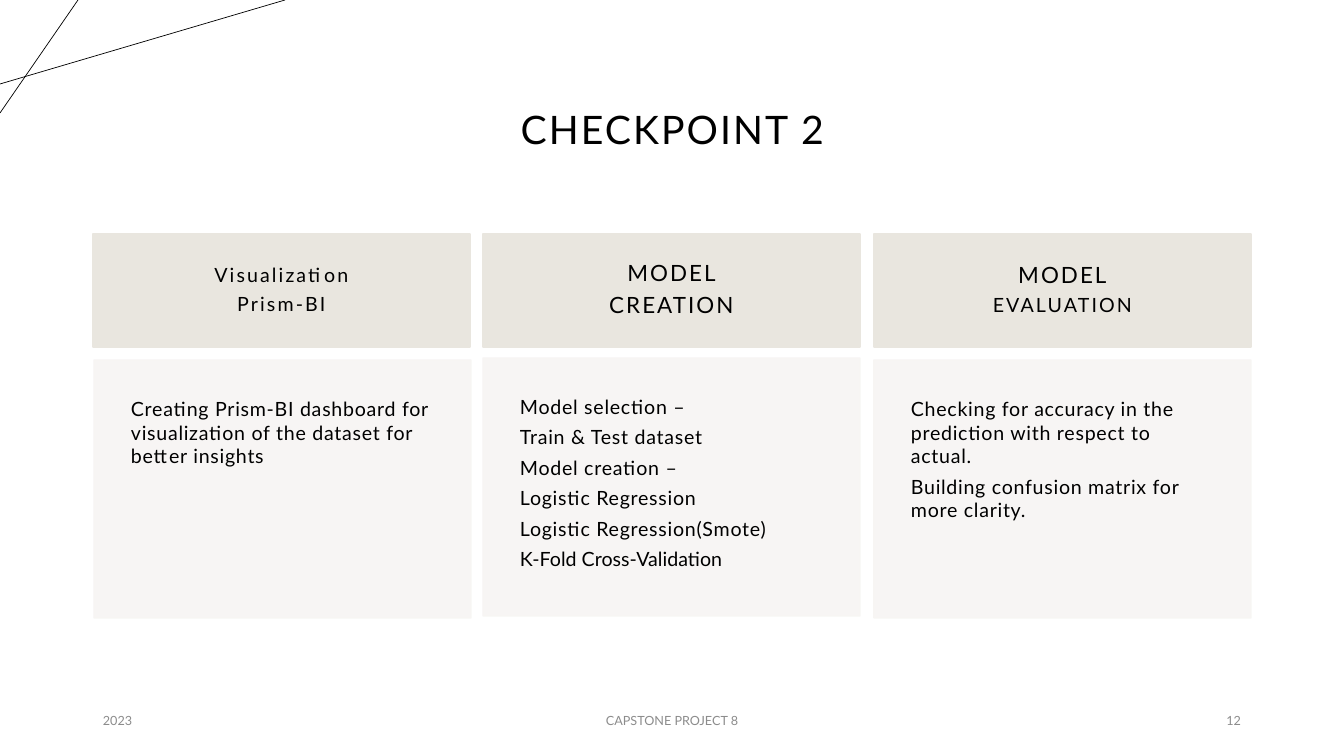
from dataclasses import dataclass

from lxml import etree
from pptx import Presentation
from pptx import util as u
from pptx.dml.color import RGBColor
from pptx.enum import shapes, text
from pptx.oxml.ns import qn

EMU_PER_PX = 914400 / 100.8
ALIGN, ANCHOR = text.PP_ALIGN, text.MSO_ANCHOR


@dataclass(frozen=True)
class Theme:
    font: str = "Lato"
    ink: str = "000000"
    muted: str = "8C8C8C"
    heading_fill: str = "E9E6DF"
    detail_fill: str = "F7F5F3"
    detail_opacity: int = 90
    title_size: int = 28
    large_size: int = 16
    text_size: int = 14
    footer_size: int = 9


THEME = Theme()

# Column geometry
LEFT, COLUMN_WIDTH = 93, 377
HEADING_TOP, HEADING_HEIGHT = 234, 113
DETAIL_HEIGHT = 258

# Each column: heading lines with sizes, detail left shift, detail top,
# detail lines with letter spacing
COLUMNS = [
    ([("Visualization", THEME.text_size), ("Prism-BI", THEME.text_size)], 1, 360,
     [("Creating Prism-BI dashboard for visualization of the dataset "
       "for better insights", 0.5)]),
    ([("MODEL", THEME.large_size), ("CREATION", THEME.large_size)], 0, 358,
     [("Model selection –", 0.5),
      ("Train & Test dataset", 0.5),
      ("Model creation –", 0.5),
      ("Logistic Regression", 0.5),
      ("Logistic Regression(Smote)", 0.5),
      ("K-Fold Cross-Validation", 0)]),
    ([("MODEL", THEME.large_size), ("EVALUATION", THEME.text_size)], 0, 360,
     [("Checking for accuracy in the prediction with respect to actual.", 0.5),
      ("Building confusion matrix for more clarity.", 0.5)]),
]


def px(length):
    return u.Emu(round(length * EMU_PER_PX))


def apply(target, values):
    for name, value in values.items():
        setattr(target, name, value)


def write(frame, lines, color, align, anchor, inset=None, **paragraph_format):
    """Fill a text frame with (wording, size, letter spacing) lines."""
    apply(frame, {"word_wrap": True, "vertical_anchor": anchor,
                  "auto_size": text.MSO_AUTO_SIZE.NONE})
    if inset is not None:
        sides = ("left", "top", "right", "bottom")
        apply(frame, {f"margin_{side}": px(inset) for side in sides})
    for index, (wording, size, spacing) in enumerate(lines):
        line = frame.add_paragraph() if index else frame.paragraphs[0]
        apply(line, {"alignment": align, **paragraph_format})
        run = line.add_run()
        run.text = wording
        apply(run.font, {"name": THEME.font, "size": u.Pt(size)})
        run.font.color.rgb = RGBColor.from_string(color)
        run.font._element.set("spc", str(round(spacing * 100)))


def add_accent_line(slide, start, end):
    accent = slide.shapes.add_connector(
        shapes.MSO_CONNECTOR.STRAIGHT, *map(px, start + end))
    accent.line.width = u.Pt(0.5)
    accent.line.color.rgb = RGBColor.from_string(THEME.ink)
    etree.SubElement(accent._element.spPr, qn("a:effectLst"))


def add_panel(slide, box, color, opacity=100):
    panel = slide.shapes.add_shape(shapes.MSO_SHAPE.RECTANGLE, *map(px, box))
    panel.shadow.inherit = False
    panel.fill.solid()
    panel.line.width = u.Pt(1)
    for paint in (panel.fill.fore_color, panel.line.color):
        paint.rgb = RGBColor.from_string(color)
    if opacity < 100:
        for swatch in panel._element.spPr.iter(qn("a:srgbClr")):
            etree.SubElement(swatch, qn("a:alpha"), val=str(opacity * 1000))
    return panel.text_frame


def add_title(slide, wording):
    title = slide.shapes.title
    apply(title, {"left": px(LEFT), "top": px(59),
                  "width": px(1159), "height": px(146)})
    write(title.text_frame, [(wording, THEME.title_size, 1.5)], THEME.ink,
          ALIGN.CENTER, ANCHOR.MIDDLE, line_spacing=0.9)


def add_column(slide, left, heading, shift, detail_top, details):
    heading_panel = add_panel(
        slide, (left, HEADING_TOP, COLUMN_WIDTH, HEADING_HEIGHT),
        THEME.heading_fill)
    write(heading_panel, [(wording, size, 1.5) for wording, size in heading],
          THEME.ink, ALIGN.CENTER, ANCHOR.MIDDLE, inset=30,
          line_spacing=0.9, space_after=u.Pt(5.6))

    detail_panel = add_panel(
        slide, (left + shift, detail_top, COLUMN_WIDTH, DETAIL_HEIGHT),
        THEME.detail_fill, THEME.detail_opacity)
    write(detail_panel,
          [(wording, THEME.text_size, spacing) for wording, spacing in details],
          THEME.ink, ALIGN.LEFT, ANCHOR.TOP, inset=37, space_after=u.Pt(4.9))


def add_footer(slide, wording, left, width, align):
    footer = slide.shapes.add_textbox(*map(px, (left, 701, width, 40)))
    write(footer.text_frame, [(wording, THEME.footer_size, 0)], THEME.muted,
          align, ANCHOR.MIDDLE)


def main():
    deck = Presentation()
    apply(deck, {"slide_width": px(1344), "slide_height": px(756)})
    slide = deck.slides.add_slide(deck.slide_layouts.get_by_name("Title Only"))

    # Corner decoration and title
    add_accent_line(slide, (0, 84), (285, 0))
    add_accent_line(slide, (78, 0), (0, 113))
    add_title(slide, "CHECKPOINT 2")

    # Three evenly spaced columns
    for index, column in enumerate(COLUMNS):
        add_column(slide, LEFT + index * 781 // 2, *column)

    # Footer
    add_footer(slide, "2023", LEFT, 302, ALIGN.LEFT)
    add_footer(slide, "CAPSTONE PROJECT 8", 445, 454, ALIGN.CENTER)
    add_footer(slide, "12", 949, 302, ALIGN.RIGHT)

    deck.save("out.pptx")


if __name__ == "__main__":
    main()
